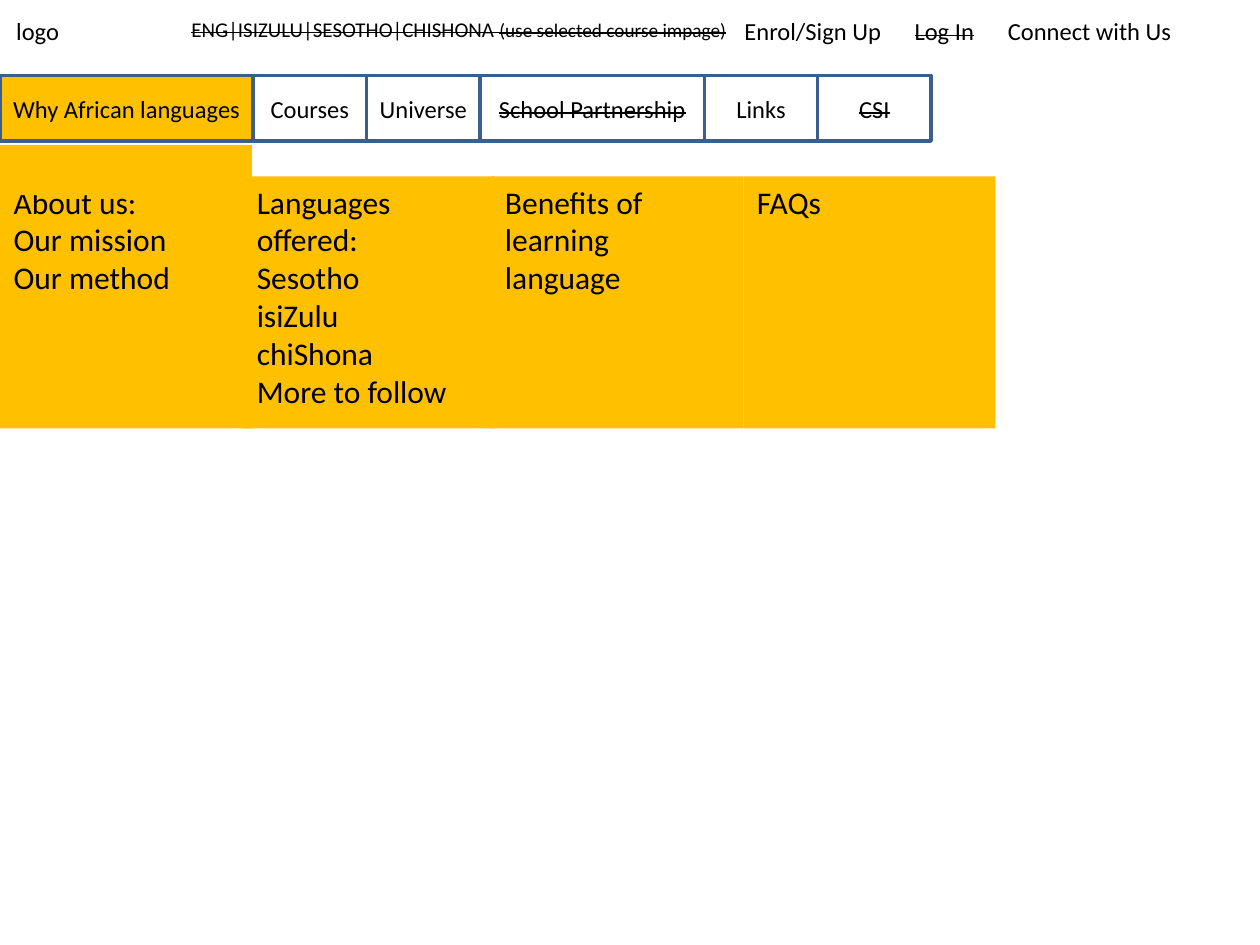
from typing import NamedTuple

from pptx import Presentation
from pptx import util as u
from pptx.dml.color import RGBColor
from pptx.enum import shapes, text

COLOURS = {"gold": "FFC000", "border": "3A5F8C", "ink": "000000"}
FONT = "Calibri"


class Phrase(NamedTuple):
    wording: str
    size: int = 14
    struck: bool = False


class HeaderItem(NamedTuple):
    left: float
    width: float
    phrases: list[Phrase]
    height: float = 0.34


class Tab(NamedTuple):
    label: Phrase
    width: float = 0.9
    selected: bool = False


class Panel(NamedTuple):
    left: float
    entries: list[str]


HEADER = [
    HeaderItem(5.81, 1.3, [Phrase("Enrol/Sign Up")]),
    HeaderItem(7.9, 1.51, [Phrase("Connect with Us")]),
    HeaderItem(7.16, 0.68, [Phrase("Log In", struck=True)]),
    HeaderItem(0.03, 0.55, [Phrase("logo")]),
    HeaderItem(1.42, 4.66, [
        Phrase("ENG|ISIZULU|SESOTHO|CHISHONA ", 12, True),
        Phrase("(use selected course impage)", 11, True),
    ], 0.3),
]
TABS = [
    Tab(Phrase("Why African languages"), 2.01, True),
    Tab(Phrase("Courses")),
    Tab(Phrase("Universe")),
    Tab(Phrase("School Partnership", struck=True), 1.78),
    Tab(Phrase("Links")),
    Tab(Phrase("CSI", struck=True)),
]
PANELS = [
    Panel(0, ["About us:", "Our mission", "Our method"]),
    Panel(1.93, ["Languages offered:", "Sesotho", "isiZulu", "chiShona", "More to follow"]),
    Panel(3.9, ["Benefits of learning language"]),
    Panel(5.9, ["FAQs"]),
]


def add_phrase(paragraph, phrase: Phrase) -> None:
    run = paragraph.add_run()
    run.text = phrase.wording
    run.font.name = FONT
    run.font.size = u.Pt(phrase.size)
    run.font.color.rgb = RGBColor.from_string(COLOURS["ink"])
    if phrase.struck:
        run._r.get_or_add_rPr().set("strike", "sngStrike")


def add_block(slide, left: float, top: float, width: float, height: float,
              filled: bool = True, bordered: bool = False):
    block = slide.shapes.add_shape(
        shapes.MSO_SHAPE.RECTANGLE,
        u.Inches(left), u.Inches(top), u.Inches(width), u.Inches(height))
    block.shadow.inherit = False
    if filled:
        block.fill.solid()
        block.fill.fore_color.rgb = RGBColor.from_string(COLOURS["gold"])
    else:
        block.fill.background()
    if bordered:
        block.line.color.rgb = RGBColor.from_string(COLOURS["border"])
        block.line.width = u.Pt(2)
    else:
        block.line.fill.background()
    return block


def draw_header_item(slide, item: HeaderItem) -> None:
    box = slide.shapes.add_textbox(
        u.Inches(item.left), u.Inches(0.08), u.Inches(item.width), u.Inches(item.height))
    box.text_frame.word_wrap = False
    box.text_frame.auto_size = text.MSO_AUTO_SIZE.SHAPE_TO_FIT_TEXT
    for phrase in item.phrases:
        add_phrase(box.text_frame.paragraphs[0], phrase)


def draw_tab(slide, tab: Tab, left: float) -> None:
    frame = add_block(slide, left, 0.6, tab.width, 0.52, tab.selected, True).text_frame
    frame.margin_left = frame.margin_right = u.Inches(0.05)
    frame.vertical_anchor = text.MSO_ANCHOR.MIDDLE
    frame.paragraphs[0].alignment = text.PP_ALIGN.CENTER
    add_phrase(frame.paragraphs[0], tab.label)


def draw_panel(slide, panel: Panel) -> None:
    frame = add_block(slide, panel.left, 1.4, 2, 2).text_frame
    frame.word_wrap = True
    frame.vertical_anchor = text.MSO_ANCHOR.TOP
    for index, entry in enumerate(panel.entries):
        paragraph = frame.add_paragraph() if index else frame.paragraphs[0]
        paragraph.alignment = text.PP_ALIGN.LEFT
        paragraph.level = 1
        indents = paragraph._p.get_or_add_pPr()
        indents.set("marL", str(u.Inches(0.01)))
        indents.set("indent", "0")
        add_phrase(paragraph, Phrase(entry, 18))


def main() -> None:
    deck = Presentation()
    deck.slide_width, deck.slide_height = u.Inches(10), u.Inches(7.5)
    slide = deck.slides.add_slide(deck.slide_layouts[6])
    tab_left = 0
    for tab in TABS:
        draw_tab(slide, tab, tab_left)
        tab_left += tab.width
    for item in HEADER:
        draw_header_item(slide, item)
    for panel in PANELS:
        draw_panel(slide, panel)
    add_block(slide, 0, 1.15, 2, 0.4)
    deck.save("out.pptx")


if __name__ == "__main__":
    main()
